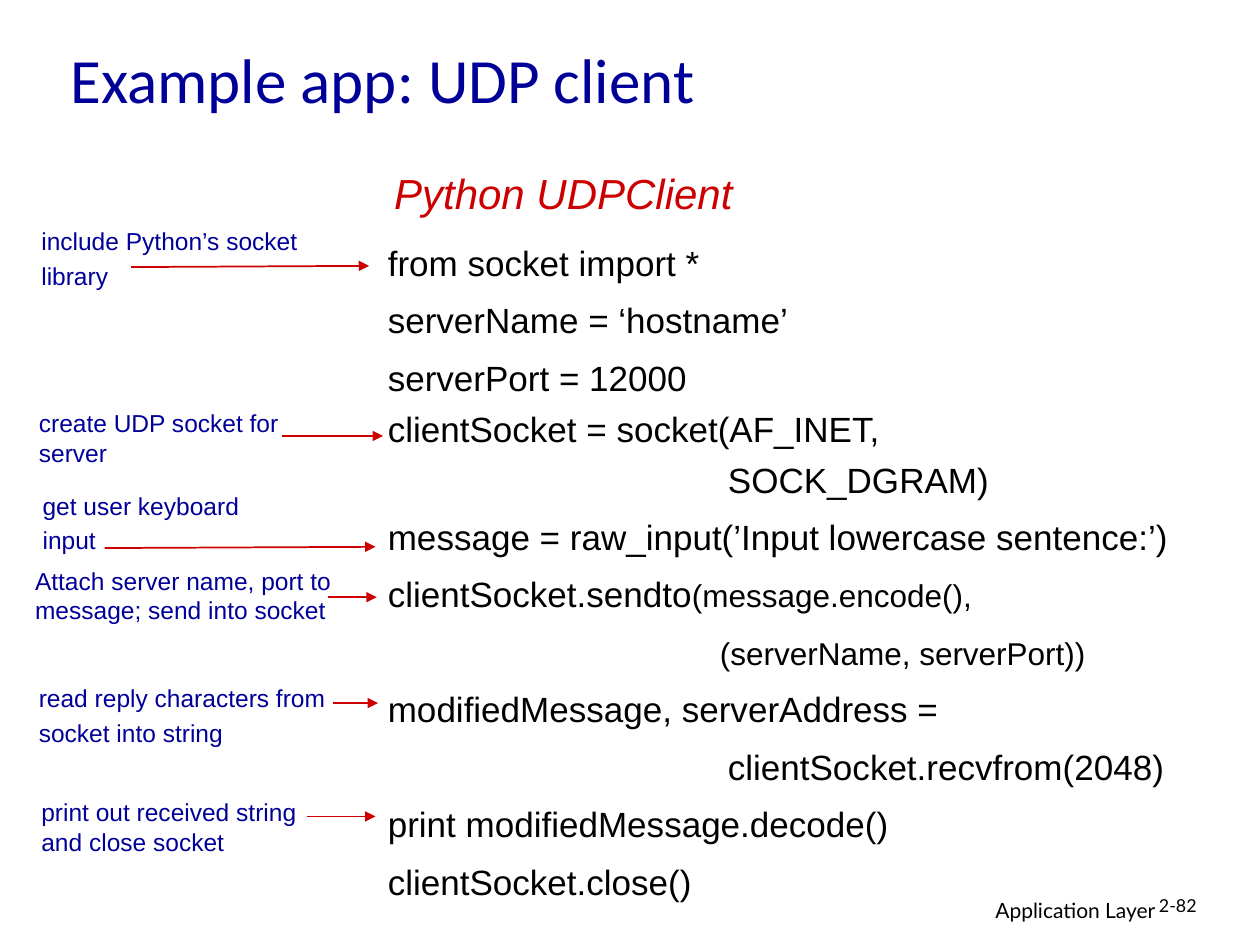
import pptx
import pptx.util
import pptx.dml.color
import pptx.enum.shapes
import pptx.enum.text
import pptx.oxml.ns
from lxml import etree

Inches = pptx.util.Inches
Pt = pptx.util.Pt
Align = pptx.enum.text.PP_ALIGN
Fit = pptx.enum.text.MSO_AUTO_SIZE
Anchor = pptx.enum.text.MSO_ANCHOR

HUES = {"blue": "000099", "red": "CC0000", "ink": "000000"}

CODE = [
    ("from socket import *", 28),
    ("serverName = ‘hostname’", 28),
    ("serverPort = 12000", 28),
    ("clientSocket = socket(AF_INET,", 24),
    ("                                   SOCK_DGRAM)", 24),
    ("message = raw_input(’Input lowercase sentence:’)", 28),
    ("clientSocket.sendto", 28),
    ("                                      (serverName, serverPort))", 28),
    ("modifiedMessage, serverAddress =", 28),
    ("                                   clientSocket.recvfrom(2048)", 28),
    ("print modifiedMessage.decode()", 28),
    ("clientSocket.close()", 28),
]
SEND, HOST = 6, 7

NOTES = [
    ((0.23, 1.76, 2.4, 0.6), ["include Python’s socket", "library"],
     16, (0.81, 0.36), (2.7, 0.35)),
    ((0.21, 3.19, 2.48, 0.57), ["create UDP socket for server"],
     None, (2.03, 0.27), (2.83, 0.27)),
    ((0.24, 3.86, 1.9, 0.6), ["get user keyboard", "input"],
     16, (0.59, 0.49), (2.74, 0.48)),
    ((0.18, 4.44, 2.57, 0.57),
     ["Attach server name, port to message; send into socket"],
     None, (2.42, 0.3), (2.81, 0.3)),
    ((0.23, 6.28, 2.57, 0.57), ["print out received string and close socket"],
     None, (2.21, 0.2), (2.75, 0.2)),
    ((0.21, 5.37, 2.57, 0.62),
     ["read reply characters from", "socket into string"],
     None, (2.43, 0.21), (2.79, 0.21)),
]


def color(name):
    return pptx.dml.color.RGBColor.from_string(HUES[name])


def style(run, size, face, hue):
    run.font.size = Pt(size)
    run.font.name = face
    run.font.color.rgb = color(hue)


def add_text(shapes, box, lines, size, face, hue, gap=0, pitch=None):
    frame = shapes.add_textbox(*map(Inches, box)).text_frame
    frame.text = "\n".join(lines)
    frame.word_wrap = True
    for index, para in enumerate(frame.paragraphs):
        para.alignment = Align.LEFT
        para.space_before = Pt(gap if index else 0)
        if pitch:
            para.line_spacing = Pt(pitch)
        for run in para.runs:
            style(run, size, face, hue)
    return frame


def add_arrow(shapes, box, start, end):
    left, top = box[:2]
    ends = [left + start[0], top + start[1], left + end[0], top + end[1]]
    arrow = shapes.add_connector(
        pptx.enum.shapes.MSO_CONNECTOR.STRAIGHT, *map(Inches, ends))
    arrow.line.color.rgb = color("red")
    arrow.line.width = Pt(1)
    qn = pptx.oxml.ns.qn
    tip = etree.SubElement(arrow.line._get_or_add_ln(), qn("a:tailEnd"))
    tip.set("type", "triangle")
    etree.SubElement(arrow._element.spPr, qn("a:effectLst"))


def add_note(slide, box, lines, pitch, start, end):
    shapes = slide.shapes.add_group_shape().shapes
    frame = add_text(shapes, box, lines, 14, "Arial", "blue", 3.5, pitch)
    frame.auto_size = Fit.SHAPE_TO_FIT_TEXT
    add_arrow(shapes, box, start, end)


def add_title(slide, box):
    frame = add_text(slide.shapes, box, ["Example app: UDP client"],
                     36, "Calibri", "blue")
    frame.vertical_anchor = Anchor.MIDDLE


def add_code(slide, box):
    left, top, width, height = box
    head = add_text(slide.shapes, (left + 0.05, top, 3.1, 0.5),
                    ["Python UDPClient"], 24, "Arial", "red")
    head.paragraphs[0].runs[0].font.italic = True
    body = add_text(slide.shapes, (left, top + 0.53, width, height - 0.53),
                    [line for line, _ in CODE], 20, "Arial", "ink", 5)
    paras = body.paragraphs
    for para, (_, pitch) in zip(paras, CODE):
        para.line_spacing = Pt(pitch)
    args = paras[SEND].add_run()
    args.text = "(message.encode(),"
    for run in (args, paras[HOST].runs[0]):
        style(run, 18, "Arial", "ink")
    for index in (SEND, HOST):
        paras[index].space_before = Pt(4.5)
    for frame in (head, body):
        frame.auto_size = Fit.SHAPE_TO_FIT_TEXT


def add_footer(slide, box):
    left, top, width, height = box
    label = add_text(slide.shapes, (left, top, 3.17, height),
                     ["Application Layer"], 12, "Lato", "ink")
    label.paragraphs[0].alignment = Align.RIGHT
    page = add_text(slide.shapes, (left + 3, top, width - 3, height),
                    ["2-82"], 10.2, "Lato", "ink")
    page.paragraphs[0].line_spacing = 0.9


def main():
    deck = pptx.Presentation()
    deck.slide_width = Inches(10)
    deck.slide_height = Inches(7.5)
    slide = deck.slides.add_slide(deck.slide_layouts[6])
    add_footer(slide, (6.1, 7.07, 3.74, 0.31))
    add_title(slide, (0.46, 0.1, 8.5, 1.04))
    add_code(slide, (2.98, 1.28, 6.6, 5.93))
    for note in NOTES:
        add_note(slide, *note)
    deck.save("out.pptx")


if __name__ == "__main__":
    main()
